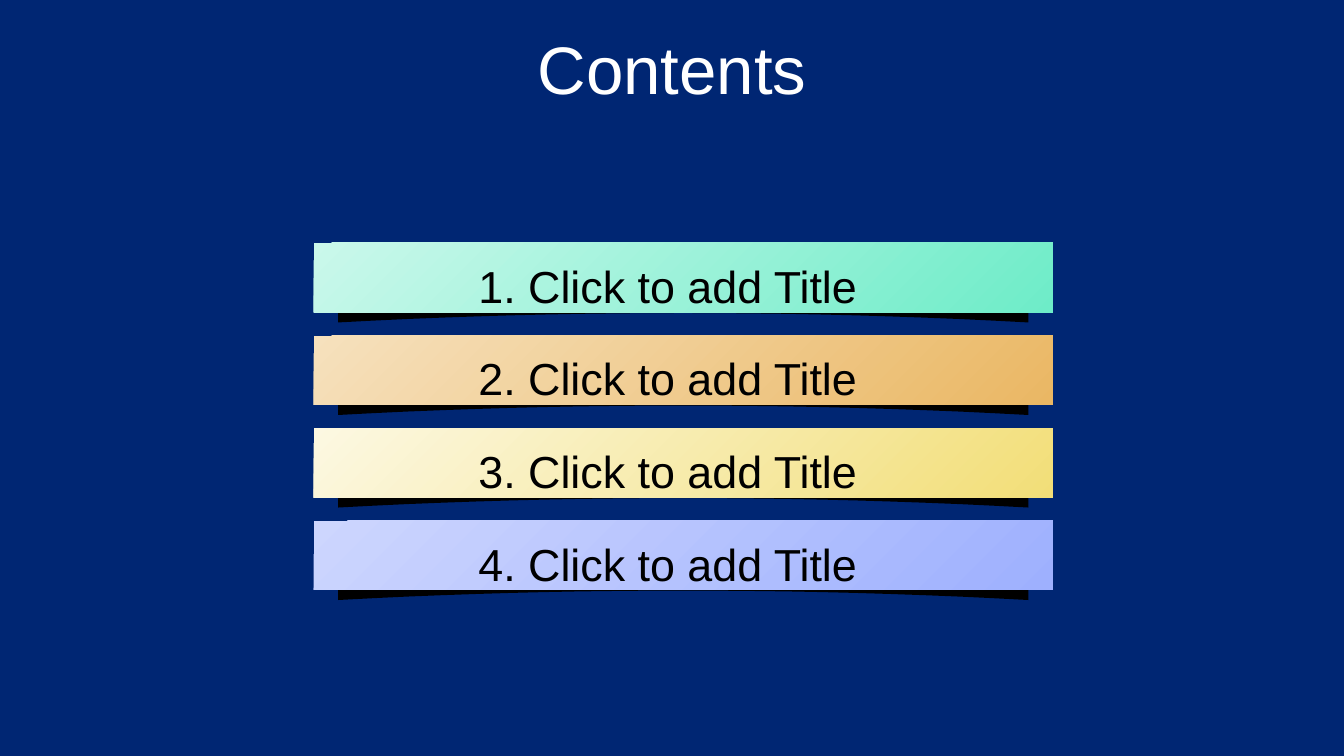
from pptx import Presentation
from pptx.dml.color import RGBColor
from pptx.enum.shapes import MSO_SHAPE
from pptx.enum.text import MSO_ANCHOR, MSO_AUTO_SIZE, PP_ALIGN
from pptx.util import Inches, Pt

RECT = MSO_SHAPE.RECTANGLE
MIDDLE = MSO_ANCHOR.MIDDLE
GROW = MSO_AUTO_SIZE.SHAPE_TO_FIT_TEXT
CENTER = PP_ALIGN.CENTER
WIDE = Inches(10)
HIGH = WIDE * 9 // 16
FONT = "Arial"
HUES = {"back": "002673", "title": "FFFFFF", "text": "000000", "shade": "000000",
        "green": ("CAF8EB", "6EECC8"), "orange": ("F6E1BD", "EAB764"),
        "yellow": ("FCF8E2", "F2DE78"), "blue": ("CDD6FE", "9EB0FE")}
BARS = ("green", "orange", "yellow", "blue")


def tint(code):
    """Turn a hex string into a colour."""
    return RGBColor.from_string(code)


def part(box, x, y, w, h):
    """Return the part of a box given in percent of its size."""
    left, top, wide, high = box
    return (round(left + x * wide / 100), round(top + y * high / 100),
            round(w * wide / 100), round(h * high / 100))


def style(para, size, code):
    """Format the runs of a paragraph."""
    for run in para.runs:
        run.font.name = FONT
        run.font.size = Pt(size)
        run.font.color.rgb = tint(code)


def add_head(slide, box):
    """Place the slide title in a box."""
    head = slide.shapes.title
    head.left, head.top, head.width, head.height = box
    frame = head.text_frame
    frame.text = "Contents"
    frame.vertical_anchor = MIDDLE
    para = frame.paragraphs[0]
    para.alignment = CENTER
    style(para, 36, HUES["title"])


def add_shade(group, box):
    """Draw a shadow with a peaked top and an arched lower edge."""
    left, top, wide, high = box
    steps = [i / 10 for i in range(-10, 11)]
    arch = [(0.5 - t / 2, 0.72 + 0.28 * t * t) for t in steps]
    edge = arch + [(0, 0.24), (0.5, 0), (1, 0.24)]
    spots = [(round(left + x * wide), round(top + y * high)) for x, y in edge]
    pen = group.shapes.build_freeform(*spots[0])
    pen.add_line_segments(spots[1:], close=True)
    shade = pen.convert_to_shape()
    shade.shadow.inherit = False
    shade.fill.solid()
    shade.fill.fore_color.rgb = tint(HUES["shade"])
    shade.line.fill.background()


def add_bar(slide, box, hue, words):
    """Place a shaded gradient bar with its label in a box."""
    group = slide.shapes.add_group_shape()
    add_shade(group, part(box, 3.3, 66, 93.4, 48.5))
    bar = group.shapes.add_shape(RECT, *box)
    bar.shadow.inherit = False
    bar.line.fill.background()
    bar.fill.gradient()
    bar.fill.gradient_angle = 315
    for stop, code in zip(bar.fill.gradient_stops, HUES[hue]):
        stop.color.rgb = tint(code)
    label = slide.shapes.add_textbox(*part(box, 20.5, 13, 55.4, 100))
    frame = label.text_frame
    frame.text = words
    frame.word_wrap = False
    frame.auto_size = GROW
    style(frame.paragraphs[0], 24, HUES["text"])


def add_list(slide, box):
    """Stack the bars at equal steps in a box."""
    high = 20
    step = (100 - high) / (len(BARS) - 1)
    for row, hue in enumerate(BARS):
        add_bar(slide, part(box, 0, row * step, 100, high), hue,
                f"{row + 1}. Click to add Title")


def main():
    """Build the contents slide."""
    deck = Presentation()
    deck.slide_width, deck.slide_height = WIDE, HIGH
    slide = deck.slides.add_slide(deck.slide_layouts[5])
    slide.background.fill.solid()
    slide.background.fill.fore_color.rgb = tint(HUES["back"])
    page = (0, 0, WIDE, HIGH)
    add_head(slide, part(page, 0, 3.4, 100, 11))
    add_list(slide, part(page, 23.34, 32.15, 55, 45.9))
    deck.save("out.pptx")


if __name__ == "__main__":
    main()
